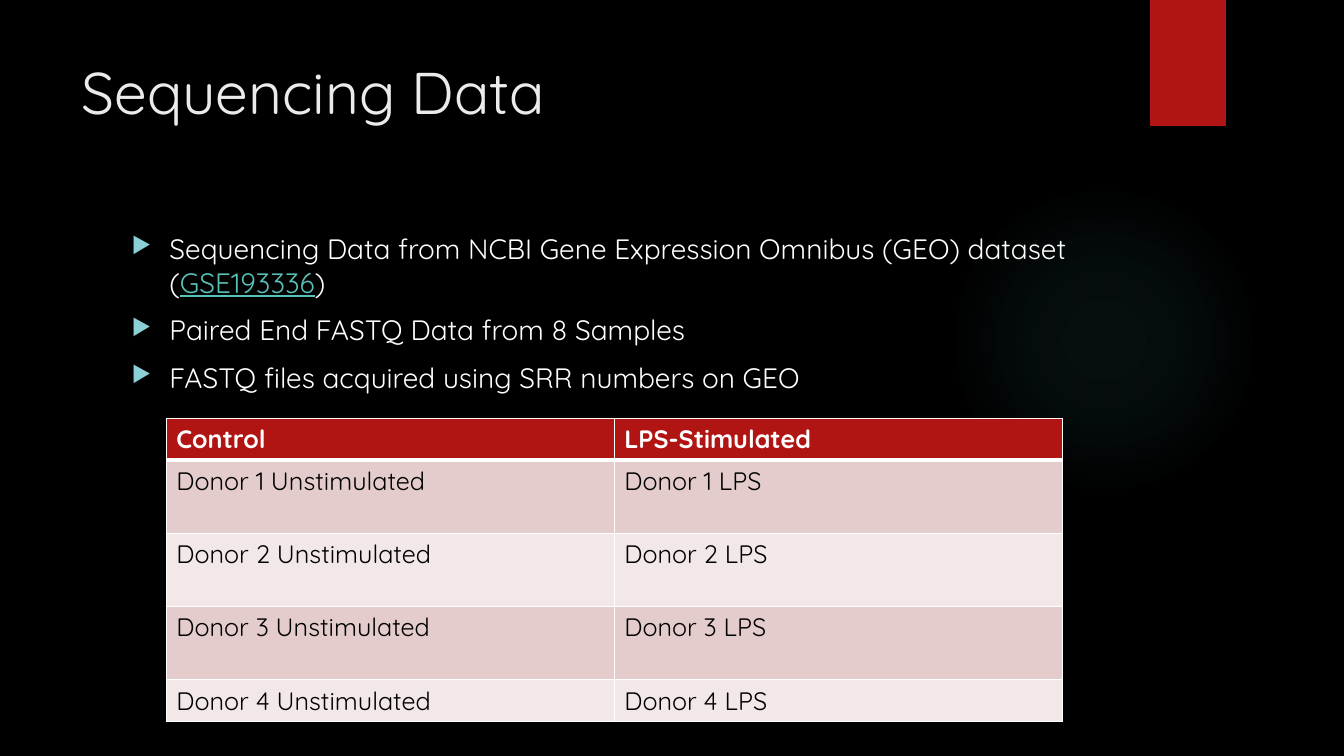
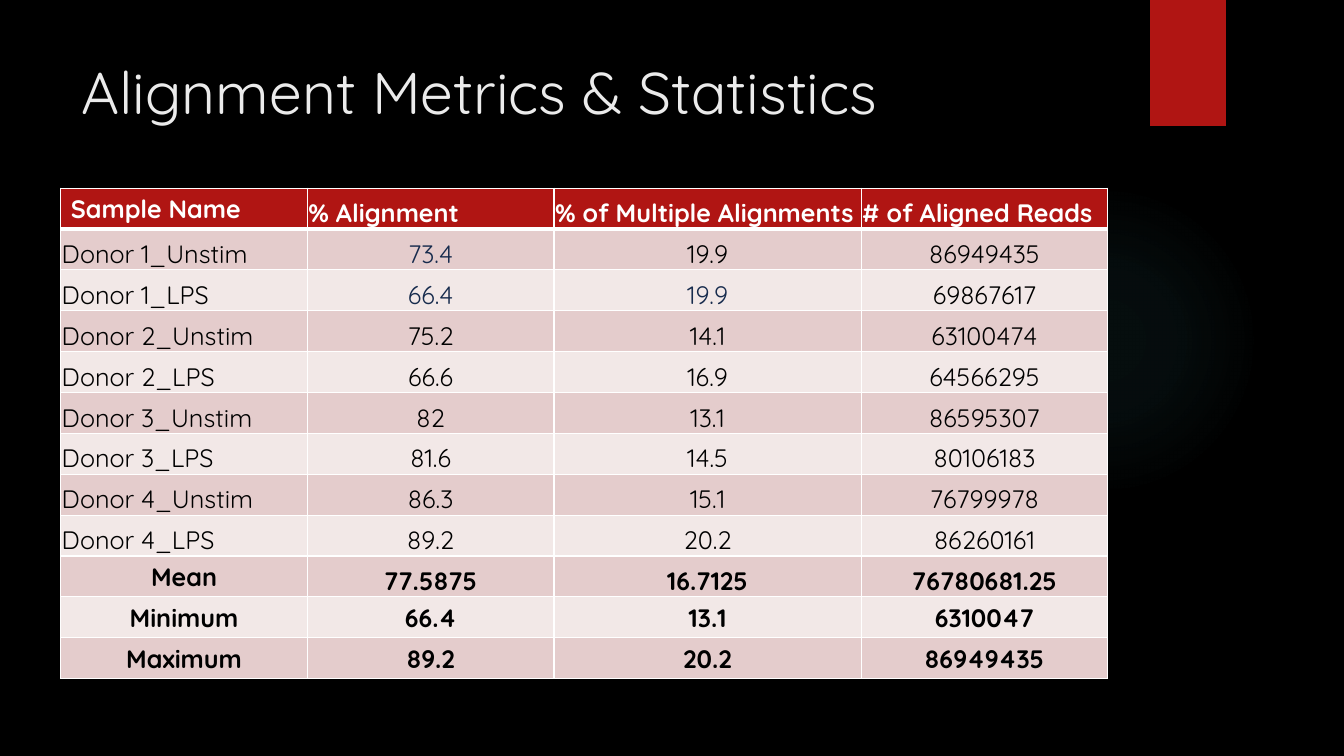
import dataclasses

import lxml.etree
import pptx
import pptx.dml.color
import pptx.enum.shapes
import pptx.enum.text
import pptx.oxml
import pptx.oxml.ns
import pptx.util

Pt = pptx.util.Pt
qn = pptx.oxml.ns.qn
ALIGN = pptx.enum.text.PP_ALIGN
ANCHOR = pptx.enum.text.MSO_ANCHOR
SHAPE = pptx.enum.shapes.MSO_SHAPE


@dataclasses.dataclass(frozen=True)
class Theme:
    font: str = "Quicksand"
    title_size: int = 42
    body_size: int = 20
    table_size: int = 18
    background: str = "000000"
    accent: str = "B01513"
    glow: str = "50B9C1"
    title: str = "EBEBEB"
    light: str = "FFFFFF"
    dark: str = "000000"
    navy: str = "172B4D"
    link: str = "58C1BA"
    bullet: str = "8AD0D6"
    bands: tuple = ("E4CCCC", "F2E8E7")


THEME = Theme()
TIGHT = (0.72, 0.72, 0.72, 0)


def rgb(color):
    return pptx.dml.color.RGBColor.from_string(color)


def add_run(p, text, size, color, bold=False, underline=False):
    r = p.add_run()
    r.text = text
    r.font.name = THEME.font
    r.font.size = Pt(size)
    r.font.bold = bold
    r.font.underline = underline
    r.font.color.rgb = rgb(color)
    return r


def add_text_frame(s, box):
    tf = s.shapes.add_textbox(*map(Pt, box)).text_frame
    tf.word_wrap = True
    return tf


def add_plain_shape(s, kind, box):
    sp = s.shapes.add_shape(kind, *map(Pt, box))
    sp.shadow.inherit = False
    sp.line.fill.background()
    return sp


def add_glow(s, box):
    """Circle whose colour fades out from its centre."""
    sp = add_plain_shape(s, SHAPE.OVAL, box)
    sp.fill.background()
    stops = "".join(
        f'<a:gs pos="{pos * 1000}"><a:srgbClr val="{THEME.glow}">'
        f'<a:alpha val="{alpha * 1000}"/></a:srgbClr></a:gs>'
        for pos, alpha in ((0, 7), (36, 6), (69, 0)))
    gradient = pptx.oxml.parse_xml(
        f'<a:gradFill {pptx.oxml.ns.nsdecls("a")}><a:gsLst>{stops}</a:gsLst>'
        '<a:path path="circle"><a:fillToRect l="50000" t="50000" r="50000" b="50000"/>'
        '</a:path></a:gradFill>')
    props = sp._element.spPr
    props.replace(props.find(qn("a:noFill")), gradient)


def add_base_slide(prs, title):
    """Slide with the background, decoration and title that all slides share."""
    s = prs.slides.add_slide(prs.slide_layouts[6])
    s.background.fill.solid()
    s.background.fill.fore_color.rgb = rgb(THEME.background)
    add_glow(s, (677.5, 131.8, 221.8, 221.8))
    tab = add_plain_shape(s, SHAPE.RECTANGLE, (821.6, 0, 54, 90))
    tab.fill.solid()
    tab.fill.fore_color.rgb = rgb(THEME.accent)
    tf = add_text_frame(s, (51, 36, 741, 110))
    add_run(tf.paragraphs[0], title, THEME.title_size, THEME.title)
    return s


def add_bullets(s, box, items):
    """Each item is a list of (text, is_link) pieces."""
    tf = add_text_frame(s, box)
    for i, pieces in enumerate(items):
        p = tf.add_paragraph() if i else tf.paragraphs[0]
        p.space_before = Pt(10)
        props = p._p.get_or_add_pPr()
        props.set("marL", str(Pt(27)))
        props.set("indent", str(-Pt(27)))
        color = lxml.etree.SubElement(props, qn("a:buClr"))
        lxml.etree.SubElement(color, qn("a:srgbClr"), val=THEME.bullet)
        lxml.etree.SubElement(props, qn("a:buSzPct"), val="80000")
        lxml.etree.SubElement(props, qn("a:buChar"), char="▶")
        for text, is_link in pieces:
            add_run(p, text, THEME.body_size, THEME.link if is_link else THEME.light,
                    underline=is_link)


def set_borders(cell, top, bottom):
    props = cell._tc.get_or_add_tcPr()
    sides = (("L", 1), ("R", 1), ("T", top), ("B", bottom))
    for i, (side, width) in enumerate(sides):
        line = lxml.etree.Element(qn(f"a:ln{side}"), w=str(Pt(width)))
        fill = lxml.etree.SubElement(line, qn("a:solidFill"))
        lxml.etree.SubElement(fill, qn("a:srgbClr"), val=THEME.light)
        props.insert(i, line)


def fill_cell(cell, text, row, color=THEME.dark, bold=False, align=ALIGN.LEFT, tight=False):
    """Row 0 is the header; tight cells sit at the bottom with thin margins."""
    header = row == 0
    cell.fill.solid()
    cell.fill.fore_color.rgb = rgb(THEME.accent if header else THEME.bands[(row - 1) % 2])
    set_borders(cell, top=3 if row == 1 else 1, bottom=3 if header else 1)
    if tight:
        cell.vertical_anchor = ANCHOR.BOTTOM
        (cell.margin_left, cell.margin_right,
         cell.margin_top, cell.margin_bottom) = map(Pt, TIGHT)
    p = cell.text_frame.paragraphs[0]
    p.alignment = align
    add_run(p, text, THEME.table_size, THEME.light if header else color, bold or header)


def add_table(s, left, top, widths, heights, rows, cell_format):
    """cell_format(row, column) gives the keyword arguments of fill_cell."""
    box = map(Pt, (left, top, sum(widths), sum(heights)))
    table = s.shapes.add_table(len(rows), len(widths), *box).table
    for column, width in zip(table.columns, widths):
        column.width = Pt(width)
    for i, (row, height) in enumerate(zip(rows, heights)):
        table.rows[i].height = Pt(height)
        for j, text in enumerate(row):
            fill_cell(table.cell(i, j), text, i, **cell_format(i, j))


def build_sequencing_slide(prs):
    s = add_base_slide(prs, "Sequencing Data")
    add_bullets(s, (87, 162, 704, 330), [
        [("Sequencing Data from NCBI Gene Expression Omnibus (GEO) dataset (", False),
         ("GSE193336", True), (")", False)],
        [("Paired End FASTQ Data from 8 Samples", False)],
        [("FASTQ files acquired using SRR numbers on GEO", False)],
    ])
    rows = [("Control", "LPS-Stimulated")]
    rows += [(f"Donor {n} Unstimulated", f"Donor {n} LPS") for n in range(1, 5)]
    add_table(s, 118.8, 298.8, (320, 320), (29.7, 52.4, 52.4, 52.4, 29.7), rows,
              lambda i, j: {})


def metrics_format(i, j):
    """Header, eight sample rows, then three bold summary rows."""
    summary = i > 8
    return {
        "bold": summary,
        "align": ALIGN.CENTER if summary or (i and j) else ALIGN.LEFT,
        "tight": i < 10 and (i, j) not in ((0, 0), (9, 0)),
        "color": THEME.navy if (i, j) in ((1, 1), (2, 1), (2, 2)) else THEME.dark,
    }


def build_metrics_slide(prs):
    s = add_base_slide(prs, "Alignment Metrics & Statistics")
    rows = [
        ("Sample Name", "% Alignment", "% of Multiple Alignments", "# of Aligned Reads"),
        ("Donor 1_Unstim", "73.4", "19.9", "86949435"),
        ("Donor 1_LPS", "66.4", "19.9", "69867617"),
        ("Donor 2_Unstim", "75.2", "14.1", "63100474"),
        ("Donor 2_LPS", "66.6", "16.9", "64566295"),
        ("Donor 3_Unstim", "82", "13.1", "86595307"),
        ("Donor 3_LPS", "81.6", "14.5", "80106183"),
        ("Donor 4_Unstim", "86.3", "15.1", "76799978"),
        ("Donor 4_LPS", "89.2", "20.2", "86260161"),
        ("Mean", "77.5875", "16.7125", "76780681.25"),
        ("Minimum", "66.4", "13.1", "6310047"),
        ("Maximum", "89.2", "20.2", "86949435"),
    ]
    add_table(s, 43.4, 134.4, (176.2, 176.2, 219.4, 176.2), [29.2] * len(rows), rows,
              metrics_format)


def main():
    prs = pptx.Presentation()
    prs.slide_width, prs.slide_height = Pt(960), Pt(540)
    build_sequencing_slide(prs)
    build_metrics_slide(prs)
    prs.save("out.pptx")


if __name__ == "__main__":
    main()
